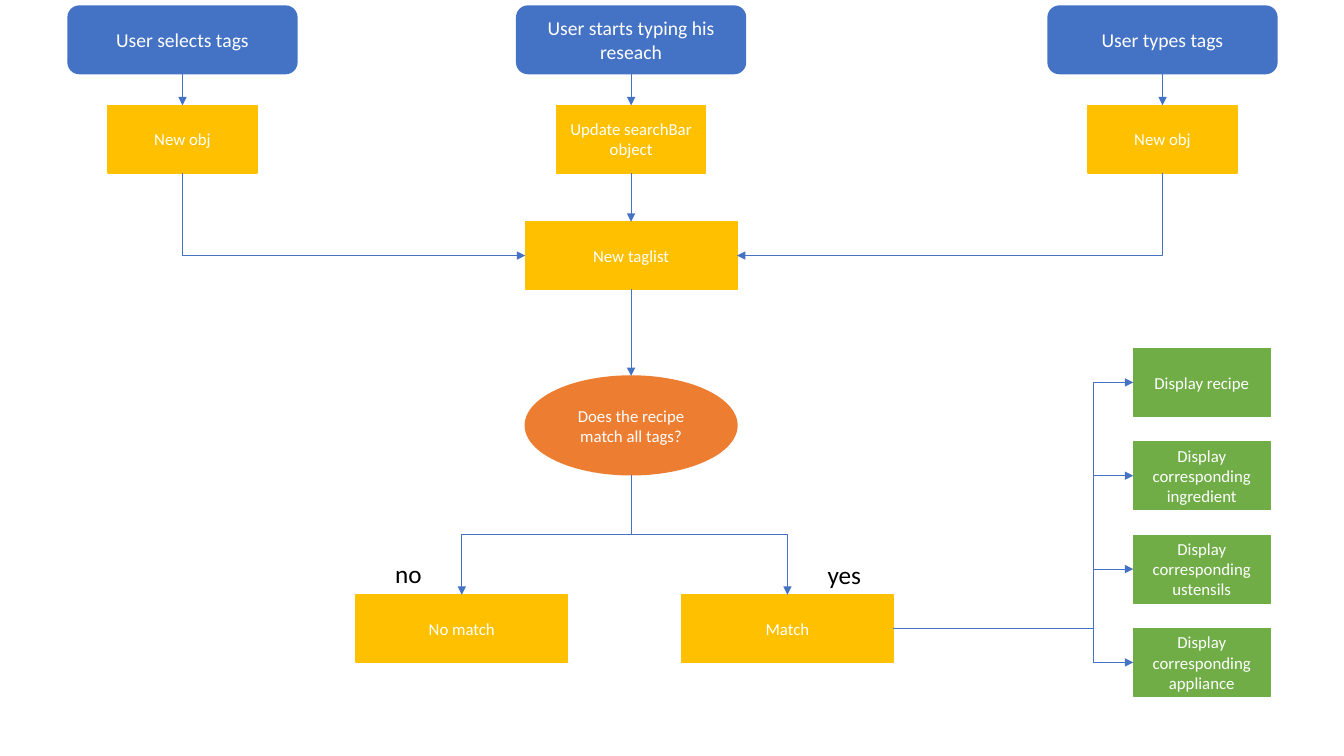
"""Build a flowchart of how a recipe search reacts to tags and typing."""
from lxml.etree import SubElement as Sub
from pptx import Presentation
from pptx.dml.color import RGBColor as Rgb
from pptx.enum.shapes import MSO_CONNECTOR as Conn, MSO_SHAPE as Form
from pptx.enum.text import MSO_ANCHOR as Anchor, PP_ALIGN as Align
from pptx.oxml.ns import qn
from pptx.util import Inches, Pt

THEME = {
    "font": "Calibri", "ink": "000000", "paper": "FFFFFF", "line": "4472C4",
    "label": 18, "thin": 0.5, "edge": 1,
    "start": dict(form=Form.ROUNDED_RECTANGLE, fill="4472C4", size=14, wide=17.03, high=8.93),
    "step": dict(form=Form.RECTANGLE, fill="FFC000", size=12, wide=11.1, high=8.93),
    "state": dict(form=Form.RECTANGLE, fill="FFC000", size=12, wide=15.75, high=8.93),
    "test": dict(form=Form.OVAL, fill="ED7D31", size=12, wide=15.75, high=13.07),
    "show": dict(form=Form.RECTANGLE, fill="70AD47", size=12, wide=10.2, high=8.93),
}
COLS = dict(tags=13.58, search=46.96, types=86.5, no=34.36, yes=58.59, show=89.42)
ROWS = dict(start=5.27, step=18.4, list=33.8, test=56.27, match=83.13, show=50.6)
GAP = 12.34
TOP, LEFT, BOTTOM, RIGHT = range(4)

deck = Presentation()
deck.slide_width, deck.slide_height = Inches(13.33), Inches(7.5)
slide = deck.slides.add_slide(deck.slide_layouts[6])
shapes = slide.shapes
col, row = deck.slide_width / 100, deck.slide_height / 100


def box(kind, x, y, text):
    """Add a node of the given kind, centred on a column and a row."""
    look = THEME[kind]
    wide, high = look["wide"], look["high"]
    node = shapes.add_shape(look["form"], int((x - wide / 2) * col), int((y - high / 2) * row),
                            int(wide * col), int(high * row))
    node.shadow.inherit = False
    node.fill.solid()
    node.fill.fore_color.rgb = node.line.color.rgb = Rgb.from_string(look["fill"])
    node.line.width = Pt(THEME["edge"])
    node.text_frame.word_wrap = True
    node.text_frame.vertical_anchor = Anchor.MIDDLE
    para = node.text_frame.paragraphs[0]
    para.text, para.alignment = text, Align.CENTER
    for name, value in dict(name=THEME["font"], size=Pt(look["size"])).items():
        setattr(para.font, name, value)
    para.font.color.rgb = Rgb.from_string(THEME["paper"])
    return node


def link(kind, x1=0, y1=0, x2=0, y2=0):
    """Add a thin connector that ends in an arrowhead."""
    line = shapes.add_connector(kind, x1, y1, x2, y2)
    line.line.color.rgb = Rgb.from_string(THEME["line"])
    line.line.width = Pt(THEME["thin"])
    Sub(line.line._get_or_add_ln(), qn("a:tailEnd"), type="triangle")
    Sub(line.element.spPr, qn("a:effectLst"))
    return line


starts = {"tags": ("User selects tags", "New obj"),
          "search": ("User starts typing his reseach", "Update searchBar object"),
          "types": ("User types tags", "New obj")}
steps, pairs = {}, []
for key, (first, then) in starts.items():
    start = box("start", COLS[key], ROWS["start"], first)
    steps[key] = box("step", COLS[key], ROWS["step"], then)
    pairs.append((start, steps[key]))

tags = box("state", COLS["search"], ROWS["list"], "New taglist")
test = box("test", COLS["search"], ROWS["test"], "Does the recipe match all tags?")
miss = box("state", COLS["no"], ROWS["match"], "No match")
match = box("state", COLS["yes"], ROWS["match"], "Match")
pairs += [(steps["search"], tags), (tags, test)]

for above, below in pairs:
    arrow = link(Conn.STRAIGHT)
    arrow.begin_connect(above, BOTTOM)
    arrow.end_connect(below, TOP)

side = tags.top + tags.height // 2
bends = [(steps["tags"], tags.left, side, "bentConnector2"),
         (steps["types"], tags.left + tags.width, side, "bentConnector2"),
         (test, miss.left + miss.width // 2, miss.top, "bentConnector3"),
         (test, match.left + match.width // 2, match.top, "bentConnector3")]
for node, x2, y2, bend in bends:
    x1, y1 = node.left + node.width // 2, node.top + node.height
    long, tall = y2 - y1, abs(x2 - x1)
    x, y = (x1 + x2 - long) // 2, (y1 + y2 - tall) // 2
    arrow = link(Conn.ELBOW, x, y, x + long, y + tall)
    arrow.element.spPr.find(qn("a:prstGeom")).set("prst", bend)
    turn = dict(rot="16200000", flipH="1") if x2 > x1 else dict(rot="5400000")
    for name, value in turn.items():
        arrow.element.spPr.find(qn("a:xfrm")).set(name, value)

shown = ["Display recipe", "Display corresponding ingredient",
         "Display corresponding ustensils", "Display corresponding appliance"]
for rank, text in enumerate(shown):
    node = box("show", COLS["show"], ROWS["show"] + rank * GAP, text)
    arrow = link(Conn.ELBOW)
    arrow.begin_connect(match, RIGHT)
    arrow.end_connect(node, LEFT)
    guides = arrow.element.spPr.find(qn("a:prstGeom")).get_or_add_avLst()
    Sub(guides, qn("a:gd"), name="adj1", fmla="val 83200")

for text, x, y in [("no", 28.66, 73.2), ("yes", 60.84, 73.33)]:
    label = shapes.add_textbox(int(x * col), int(y * row), int(4.28 * col), int(5.33 * row))
    label.text_frame.word_wrap = True
    para = label.text_frame.paragraphs[0]
    para.text = text
    for name, value in dict(name=THEME["font"], size=Pt(THEME["label"])).items():
        setattr(para.font, name, value)
    para.font.color.rgb = Rgb.from_string(THEME["ink"])

deck.save("out.pptx")
